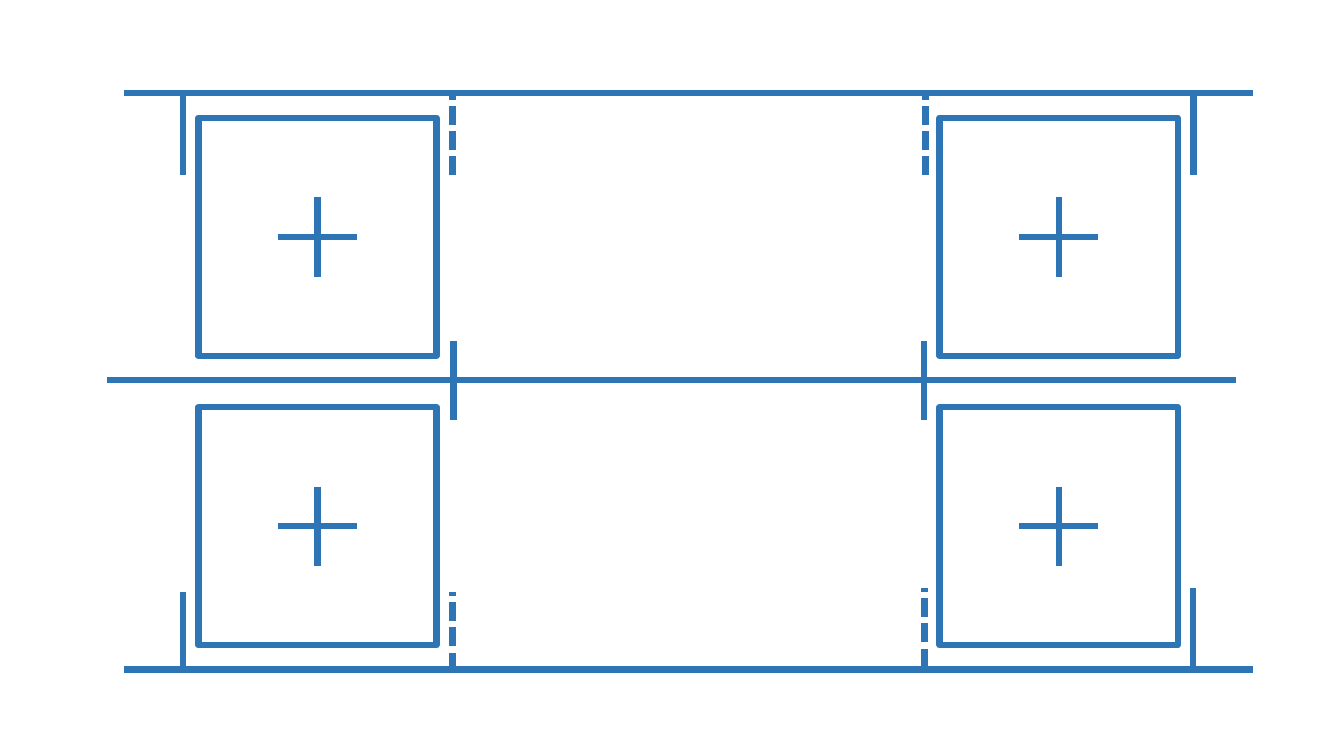
"""Draw four marked squares between three rails with solid and dashed ticks."""
from lxml.etree import SubElement
from pptx import Presentation
from pptx.dml.color import RGBColor
from pptx.enum.dml import MSO_LINE as Dash
from pptx.enum.shapes import MSO_CONNECTOR as Link, MSO_SHAPE as Shape
from pptx.oxml.ns import qn
from pptx.util import Cm, Pt

BLUE = RGBColor(0x2E, 0x75, 0xB6)
WHITE = RGBColor(0xFF, 0xFF, 0xFF)
WIDE = Pt(4.5)
SIDE = 6
TICK = 2
RAIL = 28.46

deck = Presentation()
deck.slide_width, deck.slide_height = Cm(33.87), Cm(19.05)
slide = deck.slides.add_slide(deck.slide_layouts[6])
shapes = slide.shapes


def add_line(x1, y1, x2, y2, dashed=False):
    line = shapes.add_connector(Link.STRAIGHT, Cm(x1), Cm(y1), Cm(x2), Cm(y2))
    line.line.color.rgb = BLUE
    line.line.width = WIDE
    if dashed:
        line.line.dash_style = Dash.SQUARE_DOT
    SubElement(line._element.spPr, qn("a:effectLst"))


for left, y in ((2.69, 9.58), (3.12, 2.34), (3.12, 16.87)):
    add_line(left, y, left + RAIL, y)

for x, base, dashed in (
    (11.43, 10.59, False), (23.29, 10.59, False),
    (4.62, 4.42, False), (11.4, 4.42, True),
    (23.32, 4.42, True), (30.08, 4.42, False),
    (4.62, 16.92, False), (11.4, 16.92, True),
    (23.3, 16.82, True), (30.06, 16.82, False),
):
    add_line(x, base, x, base - TICK, dashed)

for left in (5, 23.68):
    for top in (2.97, 10.26):
        box = shapes.add_shape(Shape.RECTANGLE, Cm(left), Cm(top), Cm(SIDE), Cm(SIDE))
        box.shadow.inherit = False
        box.fill.solid()
        box.fill.fore_color.rgb = WHITE
        box.line.color.rgb = BLUE
        box.line.width = WIDE
        x, y, arm = left + SIDE / 2, top + SIDE / 2, TICK / 2
        add_line(x - arm, y, x + arm, y)
        add_line(x, y - arm, x, y + arm)

deck.save("out.pptx")
